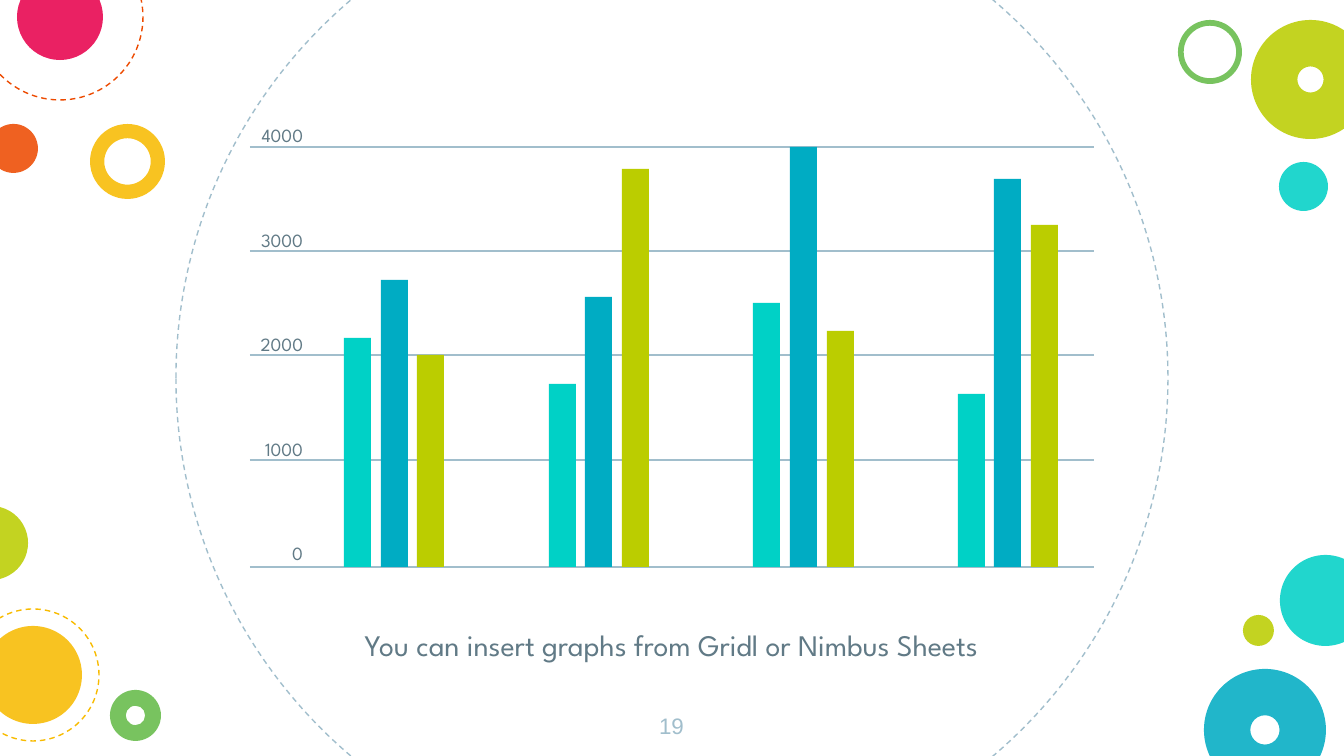
from dataclasses import dataclass

from lxml import etree
from pptx import Presentation
from pptx.dml.color import RGBColor
from pptx.enum.dml import MSO_LINE
from pptx.enum.shapes import MSO_CONNECTOR as CONN, MSO_SHAPE as SHAPE
from pptx.enum.text import MSO_ANCHOR, PP_ALIGN as ALIGN
from pptx.oxml.ns import qn
from pptx.util import Emu, Pt

SLIDE_W, SLIDE_H = 1344, 756
SCALE = 9144000 / SLIDE_W


@dataclass(frozen=True)
class Theme:
    teal: str = "00D1C6"
    blue: str = "00ACC3"
    lime: str = "BBCD00"
    yellow: str = "F8BB00"
    orange: str = "ED4A00"
    green: str = "65BB48"
    pink: str = "E8004C"
    rule: str = "A1BECC"
    text: str = "617A86"
    font: str = "League Spartan"
    number_font: str = "Arial"
    caption_size: float = 16
    number_size: float = 12
    axis_size: float = 10
    line_width: float = 0.75
    alpha: int = 87


T = Theme()

# Decoration: left, top, diameter, colour
RINGS = [
    (176, -118, 992, T.rule),
    (-23, -66, 166, T.orange),
    (-33, 609, 132, T.yellow),
]
DOTS = [
    (1280, 555, 91, T.teal),
    (1243, 615, 31, T.lime),
    (-11, 124, 49, T.orange),
    (17, -26, 86, T.pink),
    (-16, 626, 98, T.yellow),
    (-46, 506, 74, T.lime),
    (1279, 162, 49, T.teal),
]
# The last number is the donut's thickness ratio
DONUTS = [
    (90, 124, 75, T.yellow, 0.19),
    (1204, 669, 122, T.blue, 0.38),
    (1178, 20, 64, T.green, 0.09),
    (1251, 20, 119, T.lime, 0.39),
    (110, 690, 51, T.green, 0.31),
]

# Bar graph: one row per group, one column per series
VALUES = [
    (2180, 2730, 2020),
    (1740, 2570, 3790),
    (2510, 4000, 2250),
    (1650, 3700, 3260),
]
SERIES_COLORS = (T.teal, T.blue, T.lime)
AXIS_LABELS = ("4000", "3000", "2000", "1000", "0")
GRID_YS = (147, 251, 355, 460, 567)
GRID_LEFT, GRID_RIGHT = 250, 1094
FIRST_BAR, BAR_W, BAR_STEP, GROUP_STEP = 344, 27, 36.7, 204.6


def px(n):
    return Emu(round(n * SCALE))


def rgb(color):
    return RGBColor.from_string(color)


def add_filled(slide, kind, x, y, w, h, color, alpha=100):
    s = slide.shapes.add_shape(kind, px(x), px(y), px(w), px(h))
    s.shadow.inherit = False
    s.fill.solid()
    s.fill.fore_color.rgb = rgb(color)
    s.line.fill.background()
    if alpha < 100:
        clr = s.fill._xPr.find(qn("a:solidFill"))[0]
        etree.SubElement(clr, qn("a:alpha")).set("val", str(alpha * 1000))
    return s


def add_ring(slide, x, y, d, color):
    s = slide.shapes.add_shape(SHAPE.OVAL, px(x), px(y), px(d), px(d))
    s.shadow.inherit = False
    s.fill.background()
    s.line.color.rgb = rgb(color)
    s.line.width = Pt(T.line_width)
    s.line.dash_style = MSO_LINE.DASH


def add_rule(slide, y):
    c = slide.shapes.add_connector(
        CONN.STRAIGHT, px(GRID_LEFT), px(y), px(GRID_RIGHT), px(y))
    c.line.color.rgb = rgb(T.rule)
    c.line.width = Pt(T.line_width)
    etree.SubElement(c._element.spPr, qn("a:effectLst"))


def add_text(slide, x, y, w, h, lines, size, font, color, align, inset=0):
    tf = slide.shapes.add_textbox(px(x), px(y), px(w), px(h)).text_frame
    tf.word_wrap = True
    tf.vertical_anchor = MSO_ANCHOR.TOP
    tf.margin_left = tf.margin_right = px(inset)
    tf.margin_top = tf.margin_bottom = px(inset)
    tf.text = "\n".join(lines)
    for p in tf.paragraphs:
        p.alignment = align
        f = p.runs[0].font
        f.size, f.name = Pt(size), font
        f.color.rgb = rgb(color)
    return tf


def add_decoration(slide):
    for ring in RINGS:
        add_ring(slide, *ring)
    for x, y, d, color in DOTS:
        add_filled(slide, SHAPE.OVAL, x, y, d, d, color, T.alpha)
    for x, y, d, color, ratio in DONUTS:
        s = add_filled(slide, SHAPE.DONUT, x, y, d, d, color, T.alpha)
        s.adjustments[0] = ratio


def add_bar_graph(slide):
    # Grid lines and axis labels
    for y in GRID_YS:
        add_rule(slide, y)
    tf = add_text(slide, GRID_LEFT, 124, 53, 445, AXIS_LABELS,
                  T.axis_size, T.font, T.text, ALIGN.RIGHT)
    for p in tf.paragraphs[1:]:
        p.space_before = Pt(44)

    # Bars stand on the zero line and reach the top line at 4000
    top, base = GRID_YS[0], GRID_YS[-1]
    for g, group in enumerate(VALUES):
        for i, (value, color) in enumerate(zip(group, SERIES_COLORS)):
            x = round(FIRST_BAR + g * GROUP_STEP + i * BAR_STEP)
            h = round(value * (base - top) / 4000)
            add_filled(slide, SHAPE.RECTANGLE, x, base - h, BAR_W, h, color)


def main():
    prs = Presentation()
    prs.slide_width, prs.slide_height = px(SLIDE_W), px(SLIDE_H)
    slide = prs.slides.add_slide(prs.slide_layouts[6])

    add_decoration(slide)

    # Caption and slide number
    tf = add_text(slide, 183, 614, 977, 77,
                  ["You can insert graphs from Gridl or Nimbus Sheets"],
                  T.caption_size, T.font, T.text, ALIGN.CENTER, inset=13)
    tf.paragraphs[0].space_before = Pt(3.6)
    add_text(slide, 637, 699, 69, 58, ["19"],
             T.number_size, T.number_font, T.rule, ALIGN.CENTER, inset=13)

    add_bar_graph(slide)
    prs.save("out.pptx")


if __name__ == "__main__":
    main()
